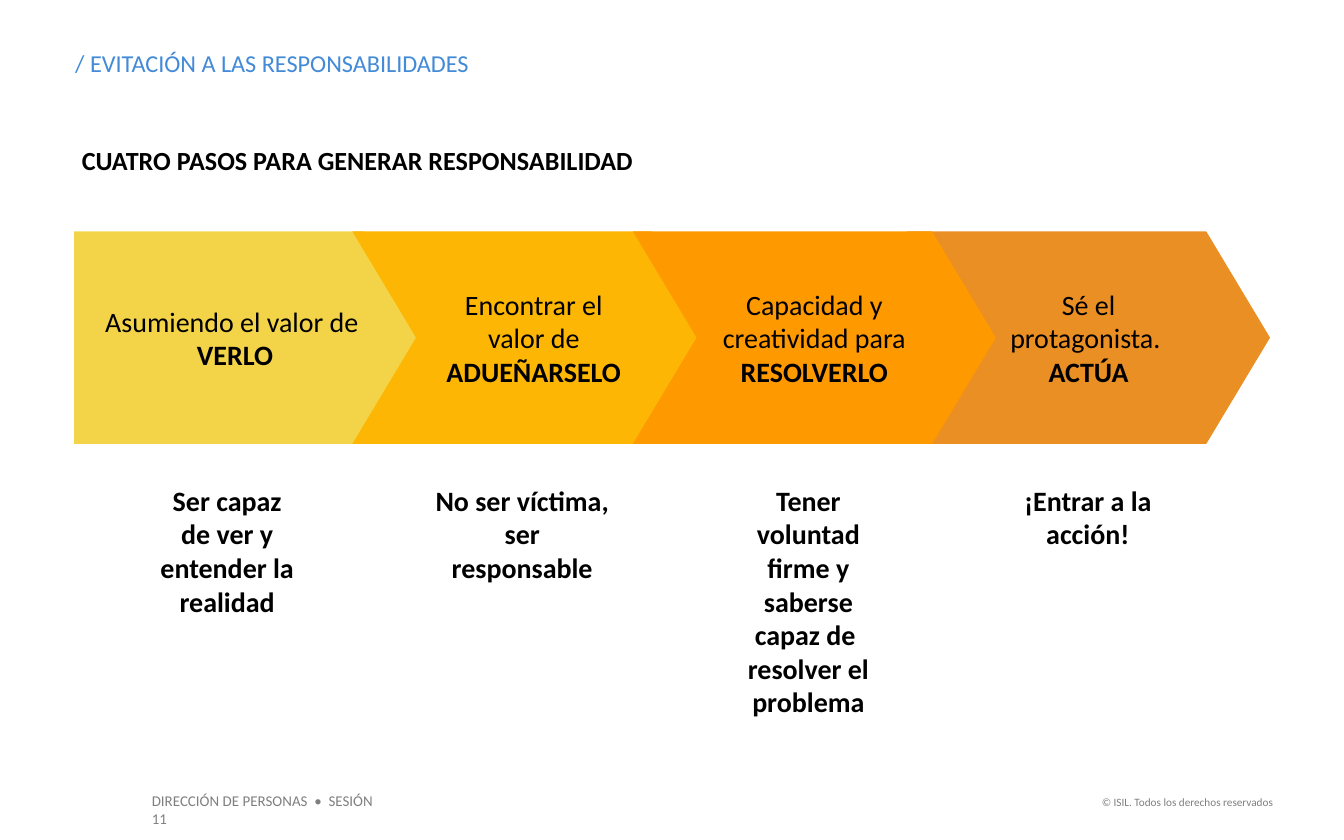
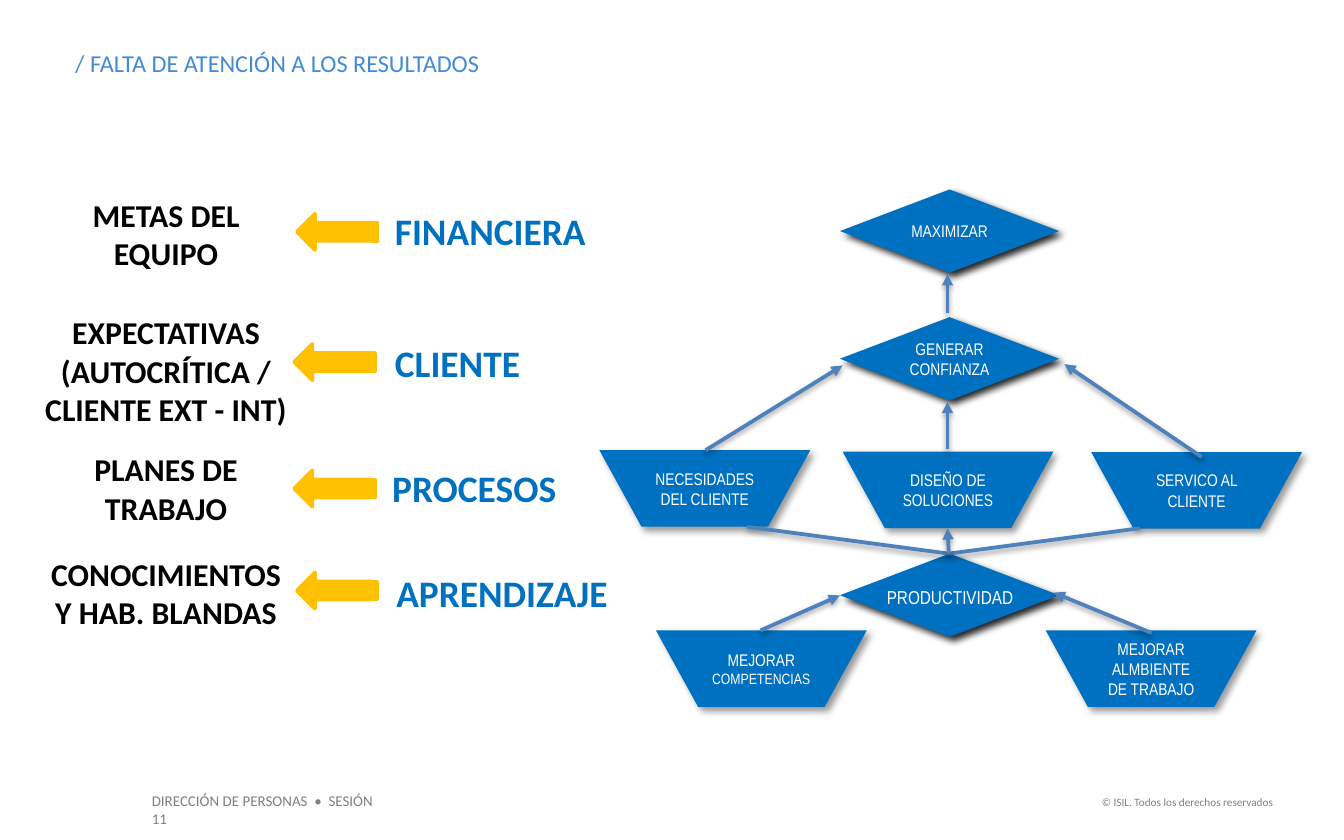
"""Builds two slides on responsibility steps and on attention to results."""
import pptx
import pptx.dml.color
import pptx.enum.shapes
import pptx.enum.text
import pptx.oxml
import pptx.oxml.ns
import pptx.util

Pt = pptx.util.Pt
qn = pptx.oxml.ns.qn
MSO = pptx.enum.shapes.MSO_SHAPE
ALIGN = pptx.enum.text.PP_ALIGN
ANCHOR = pptx.enum.text.MSO_ANCHOR

BLACK, WHITE, GREY = "000000", "FFFFFF", "7F7F7F"
TITLE_BLUE, BLUE, LINE_BLUE, GOLD = "438AD7", "0070C0", "4F81BD", "FFC000"


def paint(fill, color):
    fill.solid()
    fill.fore_color.rgb = pptx.dml.color.RGBColor.from_string(color)


def write(sp, text, size, color=BLACK, font="Calibri", bold=False, strong=None,
          align=ALIGN.LEFT, anchor=ANCHOR.TOP, inset=(0, 0), hang=0, spacing=None):
    """Fill a shape with text: a newline starts a paragraph, "|" the strong run."""
    tf = sp.text_frame
    tf.word_wrap = True
    tf.auto_size = pptx.enum.text.MSO_AUTO_SIZE.NONE
    tf.vertical_anchor = anchor
    tf.margin_left = tf.margin_right = Pt(inset[0])
    tf.margin_top = tf.margin_bottom = Pt(inset[1])
    for i, line in enumerate(text.split("\n")):
        p = tf.add_paragraph() if i else tf.paragraphs[0]
        p.alignment = align
        if spacing:
            p.line_spacing = spacing
        if hang:
            pPr = p._p.get_or_add_pPr()
            pPr.set("marL", str(Pt(hang)))
            pPr.set("indent", str(-Pt(hang)))
        for j, part in enumerate(line.split("|")):
            if part:
                r = p.add_run()
                r.text = part
                r.font.name = font
                r.font.size = Pt(size)
                r.font.bold = strong if j and strong is not None else bold
                paint(r.font.fill, color)


prs = pptx.Presentation()
prs.slide_width, prs.slide_height = Pt(720), Pt(450)

slides = []
for title in ("/ EVITACIÓN A LAS RESPONSABILIDADES",
              "/ FALTA DE ATENCIÓN A LOS RESULTADOS"):
    slide = prs.slides.add_slide(prs.slide_layouts[5])
    slides.append(slide)
    sp = slide.shapes.title
    sp.left, sp.top, sp.width, sp.height = Pt(40.3), Pt(26), Pt(505.5), Pt(16)
    write(sp, title, 13, TITLE_BLUE)
    sp = slide.shapes.add_textbox(Pt(74.2), Pt(420.5), Pt(142.5), Pt(17.3))
    write(sp, "DIRECCIÓN DE PERSONAS  •  SESIÓN 11", 8, GREY, inset=(7.2, 3.6))
    sp = slide.shapes.add_textbox(Pt(579.6), Pt(422.6), Pt(109.4), Pt(14.4))
    write(sp, "© ISIL. Todos los derechos reservados", 6, GREY,
          align=ALIGN.RIGHT, inset=(7.2, 3.6))
steps_slide, results_slide = slides

shapes = steps_slide.shapes
sp = shapes.add_textbox(Pt(36.7), Pt(78.5), Pt(602), Pt(20))
write(sp, "CUATRO PASOS PARA GENERAR RESPONSABILIDAD", 14, bold=True,
      inset=(7.2, 3.6), spacing=0.7)

steps = [
    (MSO.PENTAGON, 39.8, 189.4, "F3D449", "Asumiendo el valor de \n|VERLO"),
    (MSO.CHEVRON, 486, 194.4, "EA8F24", "Sé el protagonista. \n|ACTÚA"),
    (MSO.CHEVRON, 188.8, 194.4, "FDB603", "Encontrar el valor de |ADUEÑARSELO"),
    (MSO.CHEVRON, 339.1, 194.4, "FF9900", "Capacidad y creatividad para |RESOLVERLO"),
]
for kind, left, width, color, text in steps:
    sp = shapes.add_shape(kind, Pt(left), Pt(124), Pt(width), Pt(113.8))
    sp.adjustments[0] = 0.3
    sp.shadow.inherit = False
    paint(sp.fill, color)
    sp.line.fill.background()
    write(sp, text, 15, strong=True, align=ALIGN.CENTER, anchor=ANCHOR.MIDDLE,
          inset=(9.4, 9.4))

captions = [
    (75.6, 92.2, 82, "Ser capaz de ver y entender la realidad"),
    (221.8, 115.9, 64, "No ser víctima, ser responsable"),
    (383.8, 98.6, 137, "Tener voluntad firme y saberse capaz de \nresolver el problema"),
    (533.5, 98.6, 46, "¡Entrar a la acción!"),
]
for left, width, height, text in captions:
    sp = shapes.add_textbox(Pt(left), Pt(254.2), Pt(width), Pt(height))
    write(sp, text, 15, bold=True, align=ALIGN.CENTER, inset=(9.4, 4.7))

shapes = results_slide.shapes
perspectives = [
    ("METAS DEL EQUIPO", 105.1, 41, 159.1, 114.5, "FINANCIERA", 204.5, 104.4),
    ("EXPECTATIVAS (AUTOCRÍTICA / CLIENTE EXT - INT)",
     167.8, 62, 157.7, 184.3, "CLIENTE", 204.5, 175),
    ("PLANES DE TRABAJO", 241.2, 41, 157.7, 252, "PROCESOS", 203, 241.9),
    ("CONOCIMIENTOS Y HAB. BLANDAS", 297.4, 41, 159.1, 306.7,
     "APRENDIZAJE", 205.2, 298.1),
]
for goal, top, height, arrow_left, arrow_top, name, name_left, name_top in perspectives:
    sp = shapes.add_textbox(Pt(23.8), Pt(top), Pt(130.3), Pt(height))
    write(sp, goal, 17, bold=True, align=ALIGN.CENTER)
    sp = shapes.add_shape(MSO.STRIPED_RIGHT_ARROW, Pt(arrow_left), Pt(arrow_top),
                          Pt(43.2), Pt(19.4))
    sp._element.spPr.find(qn("a:xfrm")).set("flipH", "1")
    sp.shadow.inherit = False
    paint(sp.fill, GOLD)
    paint(sp.line.fill, GOLD)
    sp.line.width = Pt(2)
    sp = shapes.add_textbox(Pt(name_left), Pt(name_top), Pt(137.5), Pt(32.4))
    write(sp, name, 20, BLUE, bold=True, inset=(7.2, 7.2), hang=13.7)

shadowed = []
DIAMOND = (MSO.DIAMOND, 117.4, 44.6, 85)
TRAPEZOID = (MSO.FLOWCHART_MANUAL_OPERATION, 113, 41, 40)
nodes = [
    (DIAMOND, 450, 101.5, "MAXIMIZAR"),
    (DIAMOND, 450, 169.9, "GENERAR CONFIANZA"),
    (DIAMOND, 450, 296.6, ""),
    (TRAPEZOID, 451.4, 241.9, "DISEÑO DE SOLUCIONES"),
    (TRAPEZOID, 584.6, 242.2, "SERVICO AL CLIENTE"),
    (TRAPEZOID, 321.1, 241.2, "NECESIDADES DEL CLIENTE"),
    (TRAPEZOID, 560.2, 337.7, "MEJORAR ALMBIENTE DE TRABAJO"),
    (TRAPEZOID, 351.4, 337.7, "MEJORAR |COMPETENCIAS"),
]
for (kind, width, height, alpha), left, top, text in nodes:
    sp = shapes.add_shape(kind, Pt(left), Pt(top), Pt(width), Pt(height))
    sp.shadow.inherit = False
    paint(sp.fill, BLUE)
    sp.line.fill.background()
    write(sp, text, 9, WHITE, "Arial Narrow", align=ALIGN.CENTER,
          anchor=ANCHOR.MIDDLE, inset=(7.2, 3.6))
    shadowed.append((sp, alpha, 4, 3, 45))
sp.text_frame.paragraphs[0].runs[1].font.size = Pt(8)

sp = shapes.add_textbox(Pt(468), Pt(306.7), Pt(92.2), Pt(18))
write(sp, "PRODUCTIVIDAD", 10, WHITE, "Arial Narrow", inset=(7.2, 7.2), hang=13.7)

links = [
    (378, 241.2, 451.4, 195.8, True),
    (643.7, 244.8, 570.2, 195.1, True),
    (407.5, 337.7, 450, 319, True),
    (617, 339.1, 564.5, 317.5, True),
    (508.3, 296.6, 610.6, 283, False),
    (508.3, 296.6, 400.3, 282.2, False),
    (508.3, 296.6, 507.6, 283, True),
    (507.6, 240.5, 507.6, 215.3, True),
    (507.6, 167.8, 507.6, 146.9, True),
]
for x1, y1, x2, y2, arrow in links:
    sp = shapes.add_connector(pptx.enum.shapes.MSO_CONNECTOR.STRAIGHT,
                              Pt(x1), Pt(y1), Pt(x2), Pt(y2))
    paint(sp.line.fill, LINE_BLUE)
    sp.line.width = Pt(2)
    if arrow:
        tail = pptx.oxml.parse_xml(
            f'<a:tailEnd {pptx.oxml.ns.nsdecls("a")} type="triangle"/>')
        sp.line._get_or_add_ln().append(tail)
    shadowed.append((sp, 37, 3.1, 1.6, 90))

for sp, alpha, blur, dist, angle in shadowed:
    spPr = sp._element.spPr
    for effects in spPr.findall(qn("a:effectLst")):
        spPr.remove(effects)
    spPr.append(pptx.oxml.parse_xml(
        f'<a:effectLst {pptx.oxml.ns.nsdecls("a")}>'
        f'<a:outerShdw blurRad="{Pt(blur)}" dist="{Pt(dist)}" dir="{angle * 60000}" '
        f'algn="tl" rotWithShape="0"><a:srgbClr val="{BLACK}">'
        f'<a:alpha val="{alpha * 1000}"/></a:srgbClr></a:outerShdw></a:effectLst>'))

prs.save("out.pptx")
